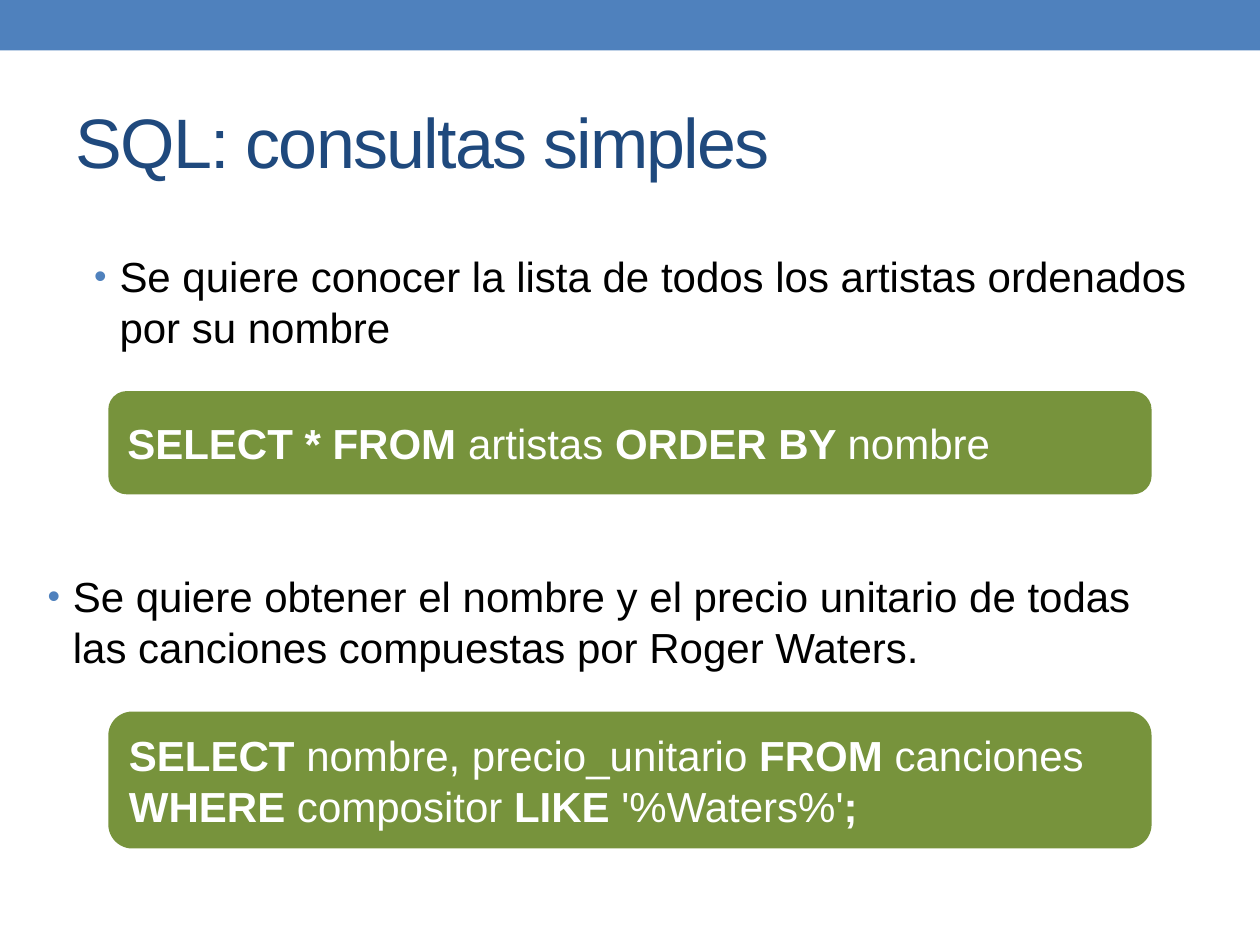
from dataclasses import dataclass

from lxml import etree
from pptx import Presentation
from pptx.dml.color import RGBColor
from pptx.enum.shapes import MSO_SHAPE
from pptx.enum.text import MSO_ANCHOR, PP_ALIGN
from pptx.oxml.ns import qn
from pptx.util import Cm, Pt

RECT, ROUNDED = MSO_SHAPE.RECTANGLE, MSO_SHAPE.ROUNDED_RECTANGLE
MIDDLE, LEFT = MSO_ANCHOR.MIDDLE, PP_ALIGN.LEFT


@dataclass(frozen=True)
class Theme:
    font: str = "Arial"
    accent: str = "4F81BD"
    title: str = "1F497D"
    code: str = "77933C"
    text: str = "000000"
    light: str = "FFFFFF"
    title_size: int = 40
    body_size: int = 24


T = Theme()


def add_run(p, text, size, color, bold=False):
    r = p.add_run()
    r.text = text
    r.font.name, r.font.size, r.font.bold = T.font, Pt(size), bold
    r.font.color.rgb = RGBColor.from_string(color)
    return r


def add_box(s, kind, left, top, width, height, color):
    """Add a shape whose fill and outline share one colour."""
    sp = s.shapes.add_shape(kind, Cm(left), Cm(top), Cm(width), Cm(height))
    sp.shadow.inherit = False
    sp.fill.solid()
    sp.fill.fore_color.rgb = RGBColor.from_string(color)
    sp.line.color.rgb = RGBColor.from_string(color)
    return sp


prs = Presentation()
prs.slide_width, prs.slide_height = Cm(25.4), Cm(19.05)
s = prs.slides.add_slide(prs.slide_layouts[5])

# Top band
band = add_box(s, RECT, 0, 0, 25.4, 1.02, T.accent)
band.line.fill.background()

# Title
title = s.shapes.title
title.left, title.top, title.width, title.height = Cm(1.27), Cm(1.47), Cm(22.86), Cm(2.74)
tf = title.text_frame
tf.vertical_anchor = MIDDLE
p = tf.paragraphs[0]
p.alignment = LEFT
r = add_run(p, "SQL: consultas simples", T.title_size, T.title)
r.font._element.set("spc", "-100")

# Questions: left, top, text
questions = [
    (1.65, 4.93, "Se quiere conocer la lista de todos los artistas ordenados por su nombre"),
    (0.71, 11.38, "Se quiere obtener el nombre y el precio unitario de todas "
                  "las canciones compuestas por Roger Waters."),
]
for left, top, text in questions:
    sp = s.shapes.add_textbox(Cm(left), Cm(top), Cm(22.86), Cm(2.58))
    tf = sp.text_frame
    tf.word_wrap = True
    p = tf.paragraphs[0]
    p.space_before = Pt(0.2 * T.body_size)
    add_run(p, text, T.body_size, T.text)
    pPr = p._p.get_or_add_pPr()
    pPr.set("marL", str(Cm(0.51)))
    pPr.set("indent", str(-Cm(0.51)))
    bullet_color = etree.SubElement(pPr, qn("a:buClr"))
    etree.SubElement(bullet_color, qn("a:srgbClr"), val=T.accent)
    etree.SubElement(pPr, qn("a:buSzPct"), val="85000")
    etree.SubElement(pPr, qn("a:buFont"), typeface=T.font)
    etree.SubElement(pPr, qn("a:buChar"), char="•")

# Queries: top, height, runs alternating between bold keywords and plain names
queries = [
    (7.92, 2.01, ["SELECT * FROM ", "artistas", " ORDER BY ", "nombre"]),
    (14.38, 2.69, ["SELECT ", "nombre, precio_unitario ", "FROM ", "canciones",
                   " WHERE ", "compositor", " LIKE ", "'%Waters%'", ";"]),
]
for top, height, parts in queries:
    sp = add_box(s, ROUNDED, 2.22, top, 20.96, height, T.code)
    sp.line.width = Pt(2)
    tf = sp.text_frame
    tf.word_wrap = True
    tf.vertical_anchor = MIDDLE
    p = tf.paragraphs[0]
    p.alignment = LEFT
    for i, part in enumerate(parts):
        add_run(p, part, T.body_size, T.light, bold=i % 2 == 0)

prs.save("out.pptx")
